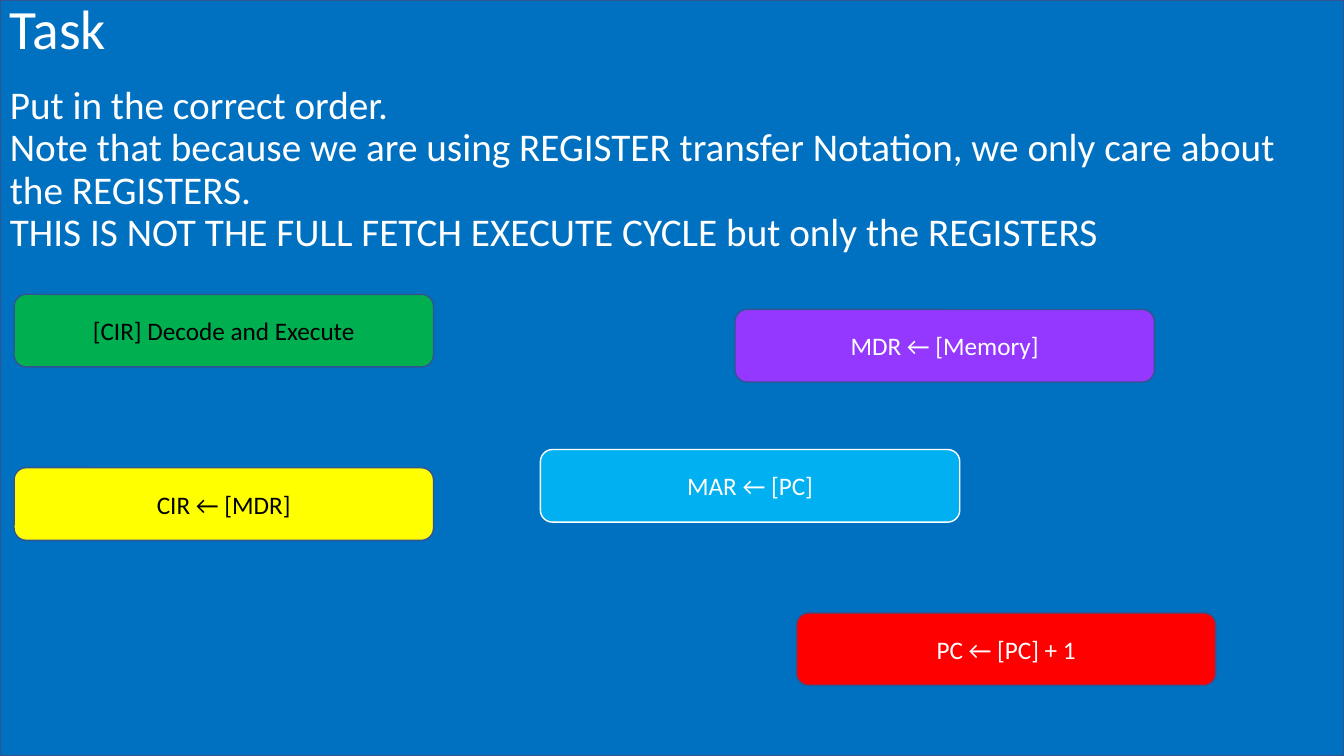
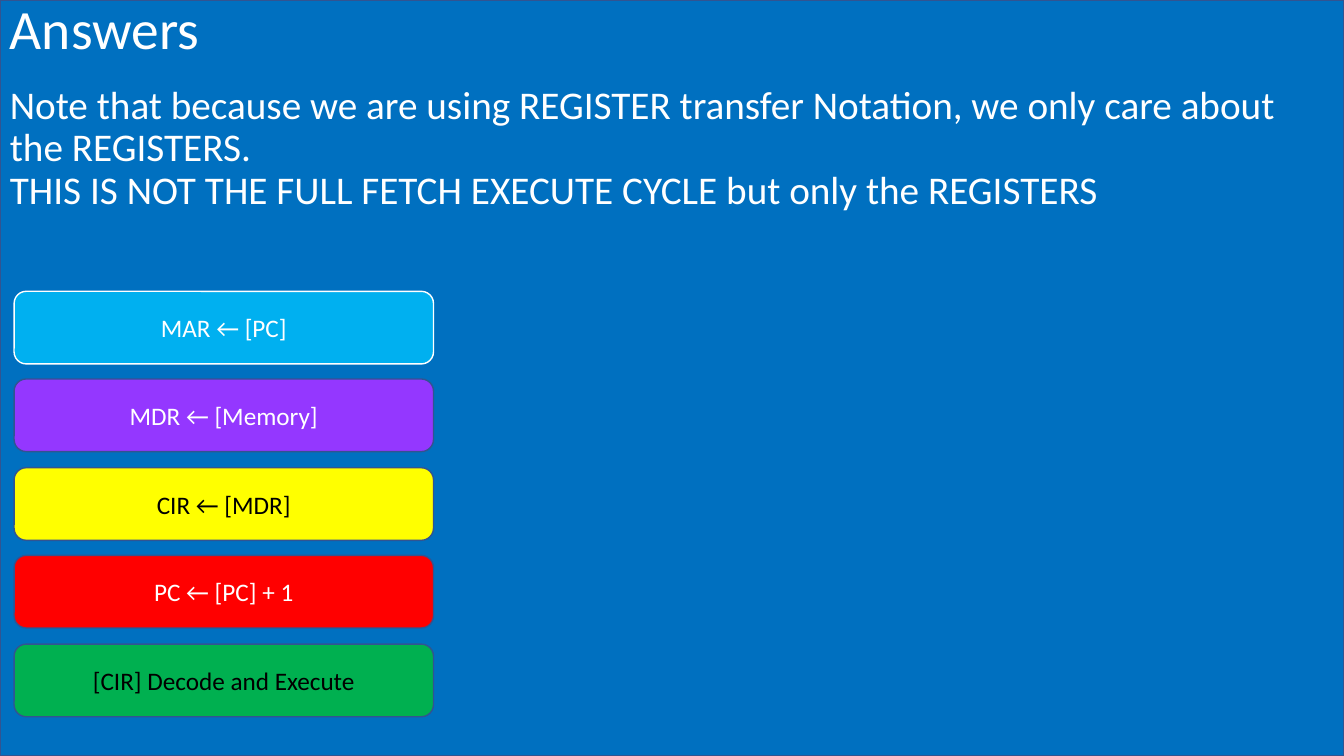
from pptx import Presentation
from pptx import util as u
from pptx.dml.color import RGBColor
from pptx.enum import shapes, text

PX = 9144
WIDTH, HEIGHT = 1333, 750
CARD_WIDTH, CARD_HEIGHT = 416, 72
BLUE, EDGE, WHITE, BLACK = "0070C0", "325491", "FFFFFF", "000000"

NOTE = (
    "Note that because we are using REGISTER transfer Notation, "
    "we only care about the REGISTERS.\n"
    "THIS IS NOT THE FULL FETCH EXECUTE CYCLE but only the REGISTERS"
)
STEPS = [
    ("MAR ← [PC]", "00B0F0", WHITE, WHITE),
    ("MDR ← [Memory]", "9437FF", WHITE, EDGE),
    ("CIR ← [MDR]", "FFFF00", BLACK, EDGE),
    ("PC ← [PC] + 1", "FF0000", WHITE, EDGE),
    ("[CIR] Decode and Execute", "00B050", BLACK, EDGE),
]
SCATTERED = [(536, 446), (729, 307), (14, 464), (790, 608), (14, 292)]
ORDERED = [(14, 289 + index * 175 // 2) for index in range(len(STEPS))]


def colour(value):
    return RGBColor.from_string(value)


class Deck:
    font = "Calibri"

    def __init__(self):
        self.deck = Presentation()
        self.deck.slide_width = u.Emu(WIDTH * PX)
        self.deck.slide_height = u.Emu(HEIGHT * PX)
        self.page = None

    def add_page(self, title, body):
        self.page = self.deck.slides.add_slide(self.deck.slide_layouts[6])
        self.shape(shapes.MSO_SHAPE.RECTANGLE, (0, 0, WIDTH, HEIGHT), BLUE, EDGE)
        self.text_box((0, 0, WIDTH, 63), title, 39.6, text.MSO_ANCHOR.MIDDLE)
        self.text_box((0, 80, WIDTH, 670), body, 28, text.MSO_ANCHOR.TOP)

    def shape(self, kind, area, fill, line):
        shape = self.page.shapes.add_shape(kind, *[u.Emu(side * PX) for side in area])
        shape.shadow.inherit = False
        shape.fill.solid()
        shape.fill.fore_color.rgb = colour(fill)
        shape.line.color.rgb = colour(line)
        shape.line.width = u.Pt(1)
        return shape

    def text_box(self, area, words, size, anchor):
        box = self.page.shapes.add_textbox(*[u.Emu(side * PX) for side in area])
        self.set_text(box, words, size, WHITE, anchor, text.PP_ALIGN.LEFT, 0.9)

    def card(self, position, words, fill, ink, line):
        area = (*position, CARD_WIDTH, CARD_HEIGHT)
        card = self.shape(shapes.MSO_SHAPE.ROUNDED_RECTANGLE, area, fill, line)
        self.set_text(card, words, 18, ink, text.MSO_ANCHOR.MIDDLE, text.PP_ALIGN.CENTER, 1.0)

    def set_text(self, shape, words, size, ink, anchor, align, spacing):
        frame = shape.text_frame
        frame.text = words
        frame.word_wrap = True
        frame.vertical_anchor = anchor
        for para in frame.paragraphs:
            para.alignment = align
            para.line_spacing = spacing
            for span in para.runs:
                span.font.name = self.font
                span.font.size = u.Pt(size)
                span.font.color.rgb = colour(ink)


def main():
    deck = Deck()
    pages = [
        ("Task", "Put in the correct order.\n" + NOTE, SCATTERED),
        ("Answers", NOTE, ORDERED),
    ]
    for title, body, positions in pages:
        deck.add_page(title, body)
        for position, step in zip(positions, STEPS):
            deck.card(position, *step)
    deck.deck.save("out.pptx")


if __name__ == "__main__":
    main()
